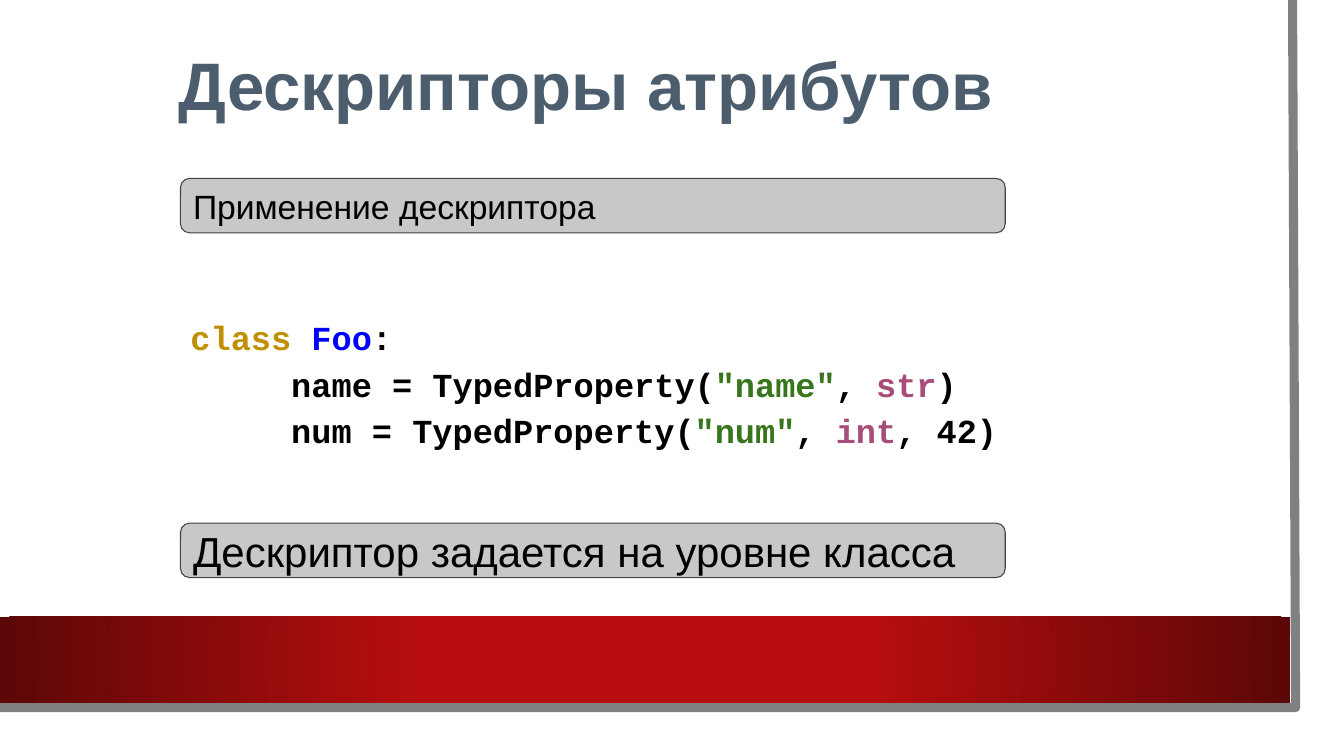
from lxml import etree
from pptx import Presentation
from pptx.dml.color import RGBColor
from pptx.enum.shapes import MSO_SHAPE as Shape
from pptx.enum.text import MSO_ANCHOR as Anchor, MSO_AUTO_SIZE as Fit, PP_ALIGN as Align
from pptx.oxml.ns import qn
from pptx.util import Inches, Pt

BLACK = RGBColor(0, 0, 0)
SLATE = RGBColor(0x4C, 0x5D, 0x6E)
GREY = RGBColor(0x80, 0x80, 0x80)
SILVER = RGBColor(0xC8, 0xC8, 0xC8)
EDGE = RGBColor(0x42, 0x42, 0x42)
RED = RGBColor(0xB8, 0x0E, 0x0F)
WINE = RGBColor(0x5C, 0x07, 0x07)
GOLD = RGBColor(0xBF, 0x90, 0x00)
BLUE = RGBColor(0, 0, 0xFF)
GREEN = RGBColor(0x38, 0x76, 0x1D)
PLUM = RGBColor(0xA6, 0x4D, 0x79)

WIDE, HIGH = Inches(13.33), Inches(7.5)
LEFT, SPAN = Inches(1.79), Inches(8.18)
PAD = Inches(0.1)
BAR = Inches(0.54)
TAB = Inches(1)

CODE = [
    (0, [("class ", GOLD), ("Foo", BLUE), (":", BLACK)]),
    (1, [("name = TypedProperty(", BLACK), ('"name"', GREEN), (", ", BLACK),
         ("str", PLUM), (")", BLACK)]),
    (1, [("num = TypedProperty(", BLACK), ('"num"', GREEN), (", ", BLACK),
         ("int", PLUM), (", 42)", BLACK)]),
]


def style(run, face, size, color, bold=False):
    """Set the font of one run."""
    font = run.font
    font.name, font.size, font.bold = face, Pt(size), bold
    font.color.rgb = color


def frame(shape, inset=PAD):
    """Prepare a wrapped, middle-anchored text frame."""
    text = shape.text_frame
    text.word_wrap, text.auto_size = True, Fit.NONE
    text.vertical_anchor = Anchor.MIDDLE
    text.margin_left = text.margin_right = PAD
    text.margin_top = text.margin_bottom = inset
    return text


def border(slide, right, base):
    """Draw the grey edge along the right and the foot of the page."""
    pen = slide.shapes.build_freeform(right - Inches(0.03), 0)
    pen.add_line_segments([(right, base), (0, base)], close=False)
    edge = pen.convert_to_shape()
    edge.shadow.inherit = False
    edge.fill.background()
    edge.line.color.rgb, edge.line.width = GREY, Pt(6.5)


def band(slide, left, top, width, height):
    """Draw the red band, bright in the middle and dark at the ends."""
    strip = slide.shapes.add_shape(Shape.RECTANGLE, left, top, width, height)
    strip.shadow.inherit = False
    strip.line.fill.background()
    strip.fill.gradient()
    for stop, (place, color) in zip(strip.fill.gradient_stops, [(0.34, RED), (1, WINE)]):
        stop.position, stop.color.rgb = place, color
    grad = strip._element.spPr.find(qn("a:gradFill"))
    line = grad.find(qn("a:lin"))
    ring = etree.Element(qn("a:path"), {"path": "circle"})
    etree.SubElement(ring, qn("a:fillToRect"), dict.fromkeys("ltrb", "50000"))
    grad.replace(line, ring)


def head(slide, left, top, width, height, words):
    """Place and format the title."""
    title = slide.shapes.title
    title.left, title.top, title.width, title.height = left, top, width, height
    text = frame(title, PAD // 2)
    text.text = words
    para = text.paragraphs[0]
    para.alignment, para.line_spacing = Align.LEFT, 0.9
    style(para.runs[0], "Arial", 48, SLATE, True)


def label(slide, left, top, width, height, words, size):
    """Draw a rounded grey bar with one line of text."""
    bar = slide.shapes.add_shape(Shape.ROUNDED_RECTANGLE, left, top, width, height)
    bar.shadow.inherit = False
    bar.fill.solid()
    bar.fill.fore_color.rgb = SILVER
    bar.line.color.rgb, bar.line.width = EDGE, Pt(0.75)
    text = frame(bar)
    text.text = words
    para = text.paragraphs[0]
    para.alignment = Align.LEFT
    style(para.runs[0], "Arial", size, BLACK)


def listing(slide, left, top, width, height, lines):
    """Write coloured code, one paragraph a line."""
    text = frame(slide.shapes.add_textbox(left, top, width, height))
    for row, (depth, parts) in enumerate(lines):
        para = text.add_paragraph() if row else text.paragraphs[0]
        para.line_spacing = 1.15
        para._p.get_or_add_pPr().set("marL", str(depth * TAB))
        for words, color in parts:
            run = para.add_run()
            run.text = words
            style(run, "Courier New", 24, color, True)


def main():
    """Build the slide and save it."""
    deck = Presentation()
    deck.slide_width, deck.slide_height = WIDE, HIGH
    slide = deck.slides.add_slide(deck.slide_layouts[5])
    border(slide, Inches(12.85), Inches(7.02))
    band(slide, 0, Inches(6.12), Inches(12.8), Inches(0.85))
    head(slide, Inches(1.67), Inches(0.06), Inches(10.79), Inches(1.65),
         "Дескрипторы атрибутов")
    listing(slide, LEFT, Inches(3.07), Inches(8.82), Inches(1.41), CODE)
    label(slide, LEFT, Inches(1.77), SPAN, BAR, "Применение дескриптора", 24)
    label(slide, LEFT, Inches(5.19), SPAN, BAR,
          "Дескриптор задается на уровне класса", 30)
    deck.save("out.pptx")


if __name__ == "__main__":
    main()
